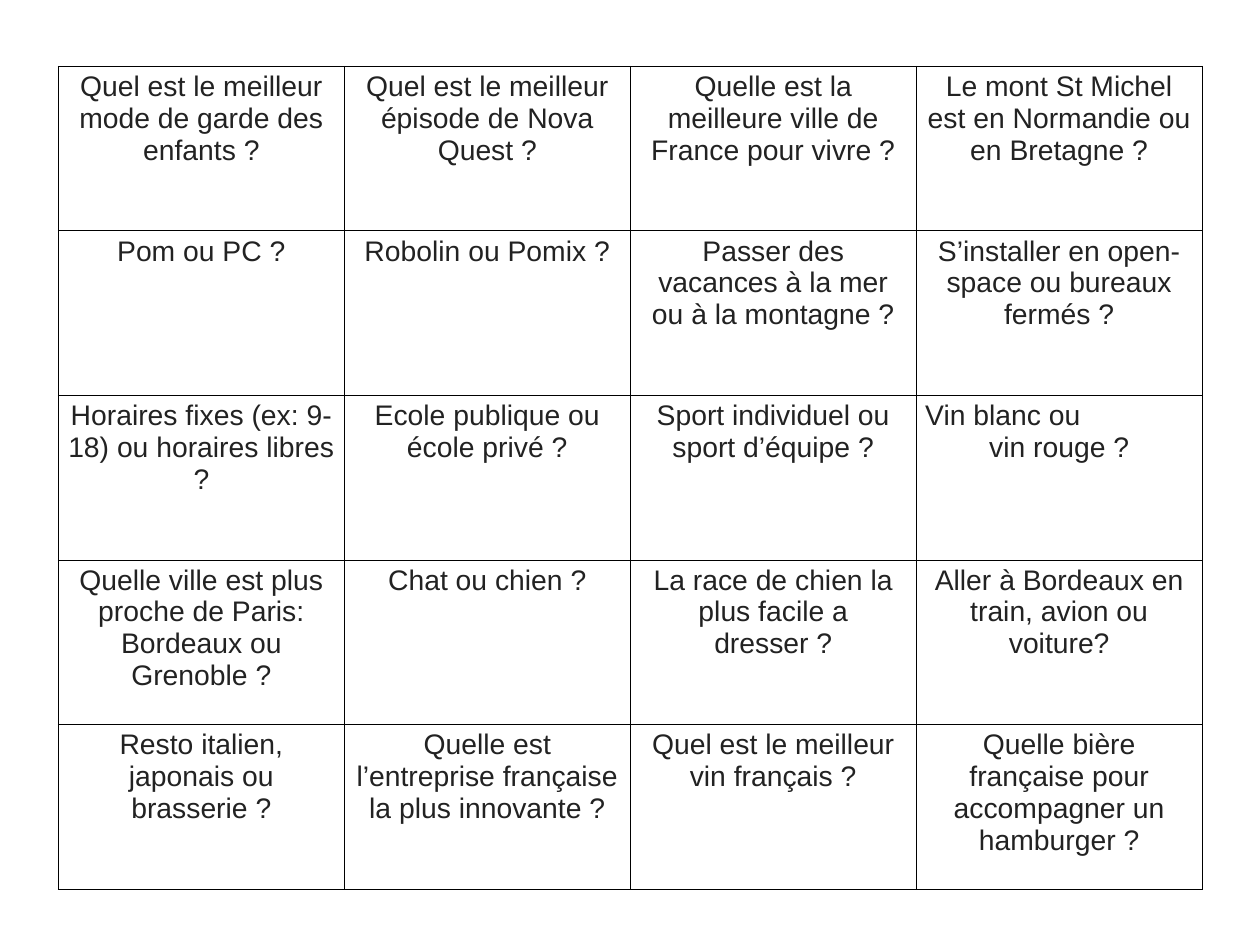
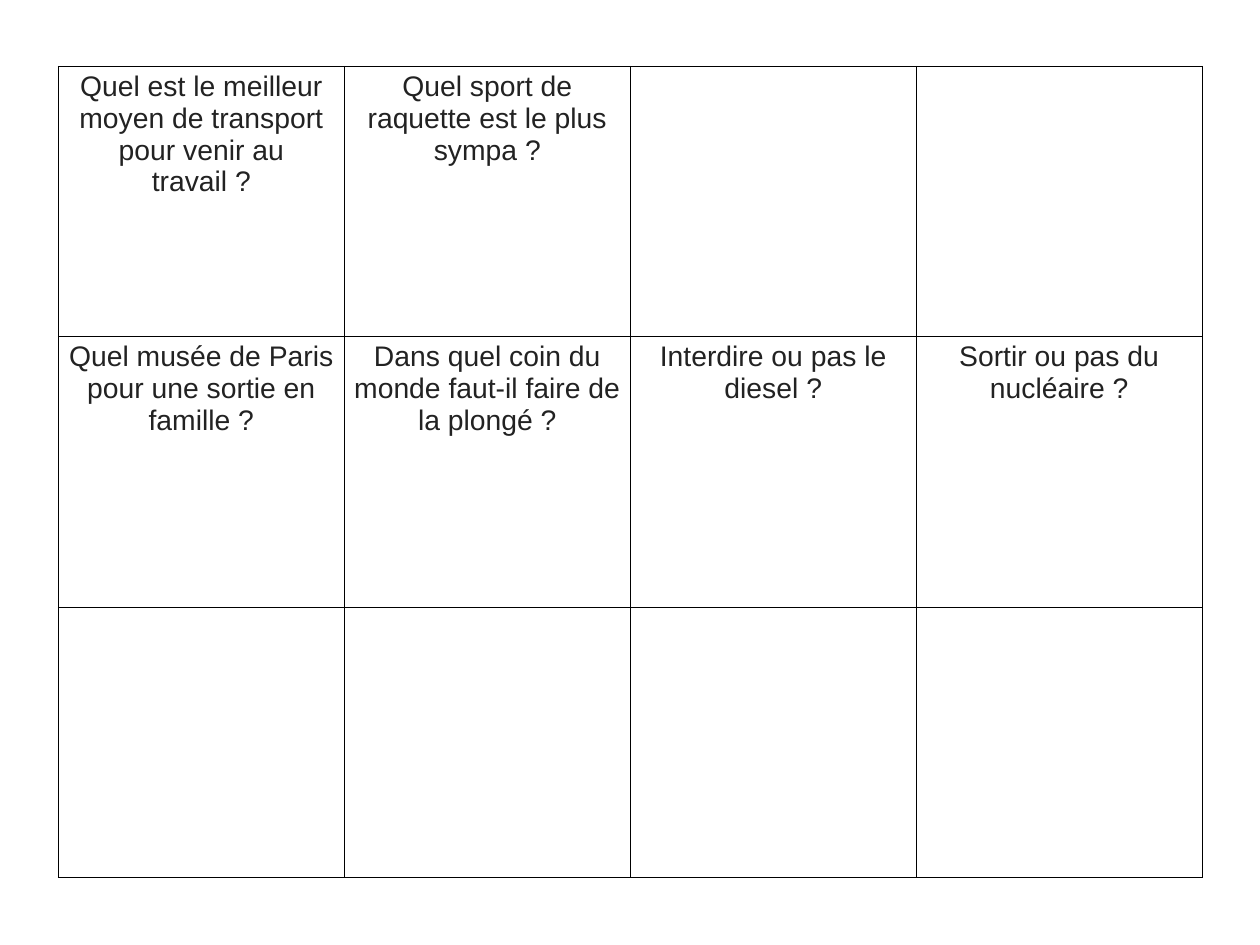
from lxml.etree import SubElement as Sub
from pptx import Presentation
from pptx.dml.color import RGBColor
from pptx.enum.text import PP_ALIGN as Align
from pptx.oxml.ns import qn
from pptx.util import Inches, Pt

FONT, SIZE = "Arial", 23
INK, RULE = "222222", "000000"
LEFT, TOP, WIDTH = 0.66, 0.75, 12.91
LEAD = "Vin blanc ou"

CARDS = [
    ["Quel est le meilleur mode de garde des enfants ?",
     "Quel est le meilleur épisode de Nova Quest ?",
     "Quelle est la meilleure ville de France pour vivre ?",
     "Le mont St Michel est en Normandie ou en Bretagne ?"],
    ["Pom ou PC ?",
     "Robolin ou Pomix ?",
     "Passer des vacances à la mer ou à la montagne ?",
     "S’installer en open-space ou bureaux fermés ?"],
    ["Horaires fixes (ex: 9-18) ou horaires libres ?",
     "Ecole publique ou école privé ?",
     "Sport individuel ou sport d’équipe ?",
     LEAD + "\nvin rouge ?"],
    ["Quelle ville est plus proche de Paris: Bordeaux ou Grenoble ?",
     "Chat ou chien ?",
     "La race de chien la plus facile a dresser ?",
     "Aller à Bordeaux en train, avion ou voiture?"],
    ["Resto italien, japonais ou brasserie ?",
     "Quelle est l’entreprise française la plus innovante ?",
     "Quel est le meilleur vin français ?",
     "Quelle bière française pour accompagner un hamburger ?"],
]

EXTRAS = [
    ["Quel est le meilleur moyen de transport pour venir au travail ?",
     "Quel sport de raquette est le plus sympa ?", "", ""],
    ["Quel musée de Paris pour une sortie en famille ?",
     "Dans quel coin du monde faut-il faire de la plongé ?",
     "Interdire ou pas le diesel ?",
     "Sortir ou pas du nucléaire ?"],
    ["", "", "", ""],
]


def color(code):
    return RGBColor.from_string(code)


def frame(cell):
    props = cell._tc.get_or_add_tcPr()
    for side in ("a:lnL", "a:lnR", "a:lnT", "a:lnB"):
        line = Sub(props, qn(side), w=str(Pt(0.96)))
        fill = Sub(line, qn("a:solidFill"))
        Sub(fill, qn("a:srgbClr"), val=RULE)
    cell.fill.background()


def write(cell, text):
    cell.text_frame.text = text
    for para in cell.text_frame.paragraphs:
        para.alignment = Align.LEFT if para.text == LEAD else Align.CENTER
        for run in para.runs:
            run.font.name = FONT
            run.font.size = Pt(SIZE)
            run.font.color.rgb = color(INK)


def add_grid(deck, rows, height):
    slide = deck.slides.add_slide(deck.slide_layouts[6])
    table = slide.shapes.add_table(
        len(rows), len(rows[0]), Inches(LEFT), Inches(TOP),
        Inches(WIDTH), Inches(height)).table
    table.first_row = table.horz_banding = False
    for r, row in enumerate(rows):
        for c, text in enumerate(row):
            cell = table.cell(r, c)
            frame(cell)
            if text:
                write(cell, text)


def main():
    deck = Presentation()
    deck.slide_width, deck.slide_height = Inches(14.22), Inches(10.67)
    add_grid(deck, CARDS, 9.29)
    add_grid(deck, EXTRAS, 9.16)
    deck.save("out.pptx")


if __name__ == "__main__":
    main()
